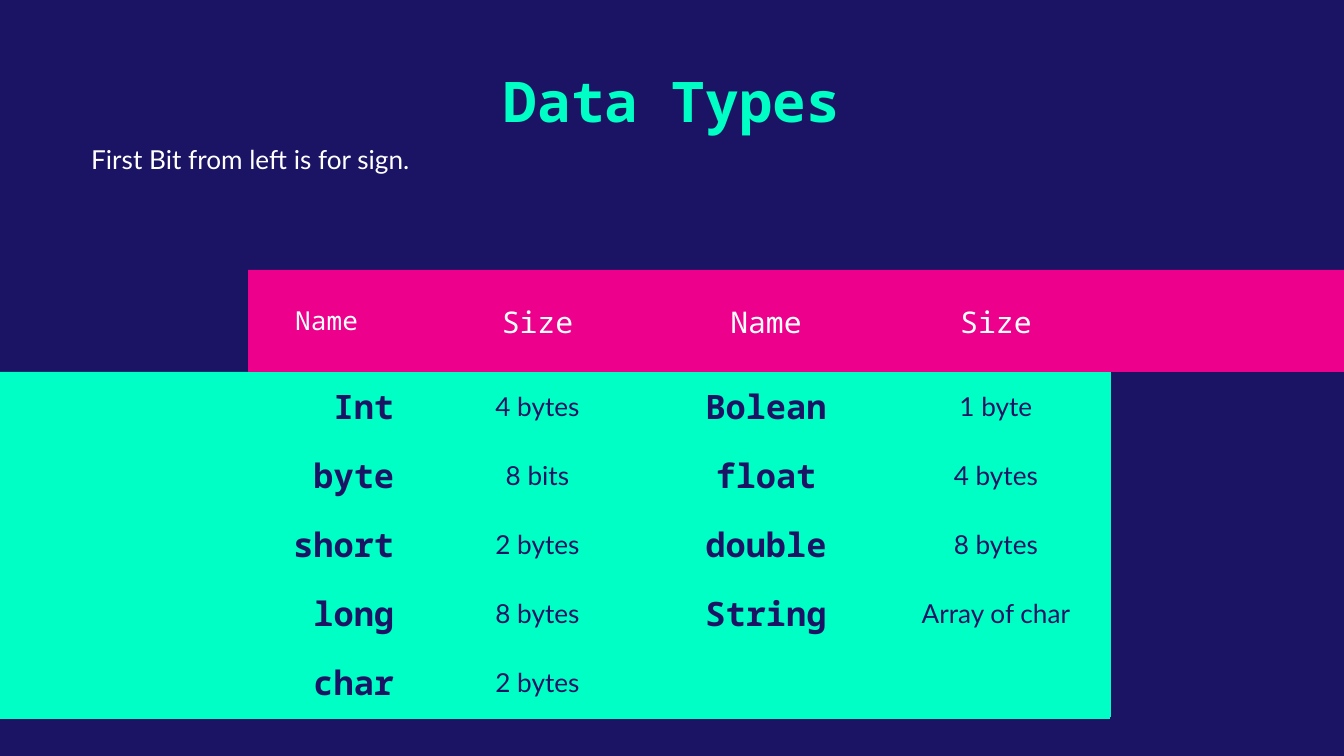
from pptx import Presentation
from pptx.dml.color import RGBColor
from pptx.enum.shapes import MSO_SHAPE
from pptx.enum.text import MSO_ANCHOR, PP_ALIGN
from pptx.oxml.ns import qn
from pptx.util import Pt

RECT = MSO_SHAPE.RECTANGLE
MIDDLE, TOP = MSO_ANCHOR.MIDDLE, MSO_ANCHOR.TOP
LEFT, CENTER, RIGHT = PP_ALIGN.LEFT, PP_ALIGN.CENTER, PP_ALIGN.RIGHT

SCALE = 914400 / 134.4
COLORS = {"navy": "1B1464", "mint": "00FFC5", "pink": "EC008C", "white": "FFFFFF"}
MONO, SANS = "Noto Sans Mono", "Lato"
NO_GRID_STYLE = "{2D5ABB26-0587-4C30-8999-92F81FD0307C}"

COL_WIDTHS = [234, 227, 230, 230]
HEADER_HEIGHT, ROW_HEIGHT = 100, 69
ROWS = [
    ["", "Size", "Name", "Size"],
    ["Int", "4 bytes", "Bolean", "1 byte"],
    ["byte", "8 bits", "float", "4 bytes"],
    ["short", "2 bytes", "double", "8 bytes"],
    ["long", "8 bytes", "String", "Array of char"],
    ["char", "2 bytes", "", ""],
]


def px(n):
    return round(n * SCALE)


def rgb(name):
    return RGBColor.from_string(COLORS[name])


def write(tf, text, size, font, color, bold=False, align=LEFT):
    p = tf.paragraphs[0]
    p.text = text
    p.alignment = align
    p.font.size = Pt(size)
    p.font.name = font
    p.font.bold = bold
    p.font.color.rgb = rgb(color)


def add_band(s, box, color):
    sp = s.shapes.add_shape(RECT, *map(px, box))
    sp.shadow.inherit = False
    sp.fill.solid()
    sp.fill.fore_color.rgb = rgb(color)
    sp.line.fill.background()


def add_text(s, box, text, size, font, color, bold=False, align=LEFT, anchor=TOP):
    tf = s.shapes.add_textbox(*map(px, box)).text_frame
    tf.word_wrap = True
    tf.vertical_anchor = anchor
    write(tf, text, size, font, color, bold, align)


def style_cell(cell, text, row, col):
    """Header cells are pink; type names are bold; the first column shows the bands behind."""
    header, is_name = row == 0, col % 2 == 0
    cell.vertical_anchor = MIDDLE
    cell.margin_top = cell.margin_bottom = px(9)
    cell.margin_left = px(13)
    cell.margin_right = px(30 if col == 0 else 13)
    if col == 0:
        cell.fill.background()
    else:
        cell.fill.solid()
        cell.fill.fore_color.rgb = rgb("pink" if header else "mint")
    if not text:
        return
    align = RIGHT if col == 0 else CENTER
    if header:
        write(cell.text_frame, text, 16, MONO, "white", align=align)
    elif is_name:
        write(cell.text_frame, text, 18, MONO, "navy", True, align)
    else:
        write(cell.text_frame, text, 14, SANS, "navy", align=align)


def add_type_table(s, left, top):
    height = HEADER_HEIGHT + ROW_HEIGHT * (len(ROWS) - 1)
    table = s.shapes.add_table(len(ROWS), len(COL_WIDTHS), px(left), px(top),
                               px(sum(COL_WIDTHS)), px(height)).table
    table.first_row = table.horz_banding = False
    table._tbl.tblPr.find(qn("a:tableStyleId")).text = NO_GRID_STYLE
    for column, width in zip(table.columns, COL_WIDTHS):
        column.width = px(width)
    for r, texts in enumerate(ROWS):
        table.rows[r].height = px(ROW_HEIGHT if r else HEADER_HEIGHT)
        for c, text in enumerate(texts):
            style_cell(table.cell(r, c), text, r, c)


def add_heading(s, left, top):
    add_text(s, (left + 110, top, 968, 98), "Data Types", 30, MONO, "mint",
             True, CENTER, MIDDLE)
    add_text(s, (left, top + 86, 351, 46), "First Bit from left is for sign.",
             14, SANS, "white")


def add_types(s, left, top):
    add_band(s, (left, top + 102, 1110, 347), "mint")
    add_band(s, (left + 248, top, 1096, 102), "pink")
    add_type_table(s, left + 190, top + 2)
    add_text(s, (left + 282, top + 28, 95, 46), "Name", 14, MONO, "white")


def main():
    prs = Presentation()
    prs.slide_width, prs.slide_height = px(1344), px(756)
    s = prs.slides.add_slide(prs.slide_layouts[6])
    s.background.fill.solid()
    s.background.fill.fore_color.rgb = rgb("navy")
    add_heading(s, 78, 51)
    add_types(s, 0, 270)
    prs.save("out.pptx")


if __name__ == "__main__":
    main()
